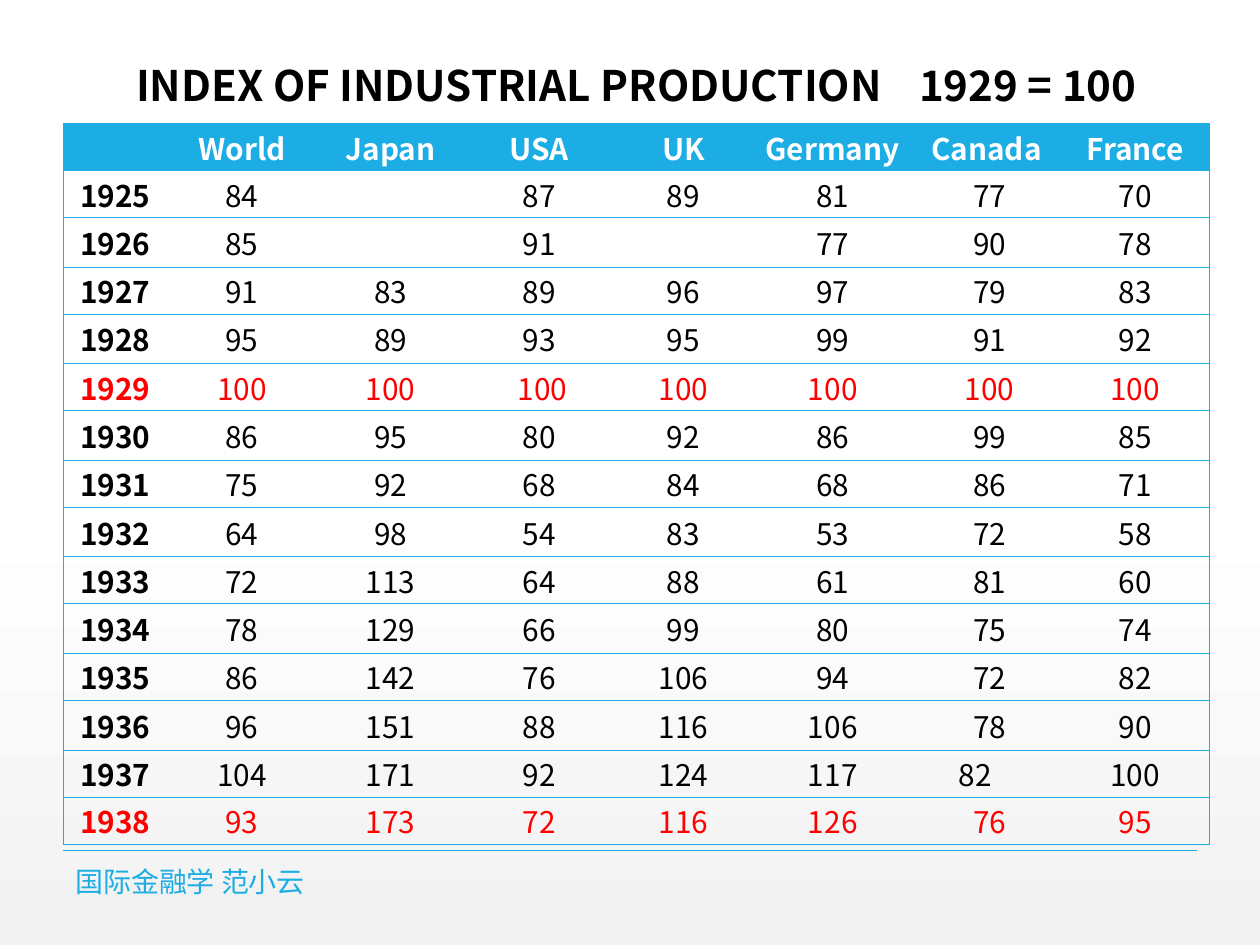
from lxml.etree import SubElement
from pptx import Presentation
from pptx.dml.color import RGBColor
from pptx.enum.shapes import MSO_CONNECTOR
from pptx.enum.text import MSO_ANCHOR, MSO_AUTO_SIZE, PP_ALIGN
from pptx.oxml import parse_xml
from pptx.oxml.ns import nsdecls, qn
from pptx.util import Inches, Pt

COLORS = {"accent": "1CADE4", "text": "000000", "marked": "FF0000",
          "header": "FFFFFF", "paper": "FFFFFF", "shade": "F2F2F2"}
FONT = "Noto Sans CJK SC"
NO_GRID_STYLE = "{2D5ABB26-0587-4C30-8999-92F81FD0307C}"
COLUMN_WIDTHS = [0.83, 1.18, 1.18, 1.18, 1.11, 1.26, 1.18, 1.18]
COUNTRIES = ["", "World", "Japan", "USA", "UK", "Germany", "Canada", "France"]
CANADA = COUNTRIES.index("Canada")
PRODUCTION = [
    [1925, 84, "", 87, 89, 81, 77, 70],
    [1926, 85, "", 91, "", 77, 90, 78],
    [1927, 91, 83, 89, 96, 97, 79, 83],
    [1928, 95, 89, 93, 95, 99, 91, 92],
    [1929, 100, 100, 100, 100, 100, 100, 100],
    [1930, 86, 95, 80, 92, 86, 99, 85],
    [1931, 75, 92, 68, 84, 68, 86, 71],
    [1932, 64, 98, 54, 83, 53, 72, 58],
    [1933, 72, 113, 64, 88, 61, 81, 60],
    [1934, 78, 129, 66, 99, 80, 75, 74],
    [1935, 86, 142, 76, 106, 94, 72, 82],
    [1936, 96, 151, 88, 116, 106, 78, 90],
    [1937, 104, 171, 92, 124, 117, 82, 100],
    [1938, 93, 173, 72, 116, 126, 76, 95],
]
MARKED_YEARS = {1929, 1938}


def rgb(name):
    """Return the named colour."""
    return RGBColor.from_string(COLORS[name])


def write(paragraph, text, size=17, color="text", bold=False,
          align=PP_ALIGN.CENTER, tracking=0):
    """Append formatted text to a paragraph."""
    paragraph.alignment = align
    paragraph.font.size = Pt(size)
    if text == "":
        return
    run = paragraph.add_run()
    run.text = str(text)
    font = run.font
    font.name, font.size, font.bold = FONT, Pt(size), bold
    font.color.rgb = rgb(color)
    properties = run.font._element
    SubElement(properties, qn("a:ea"), typeface=FONT)
    if tracking:
        properties.set("spc", str(tracking * 100))


def set_borders(cell, sides):
    """Draw thin accent lines on the given sides of a cell."""
    properties = cell._tc.get_or_add_tcPr()
    for index, side in enumerate(sides):
        properties.insert(index, parse_xml(
            f'<a:ln{side} {nsdecls("a")} w="6350"><a:solidFill>'
            f'<a:srgbClr val="{COLORS["accent"]}"/></a:solidFill></a:ln{side}>'))


def set_background(slide):
    """Shade the lower half of the slide."""
    fill = slide.background.fill
    fill.gradient()
    fill.gradient_angle = 270
    for stop, position, color in zip(fill.gradient_stops, (0.53, 1), ("paper", "shade")):
        stop.position = position
        stop.color.rgb = rgb(color)


def add_title(slide, left, top, width, height):
    """Place the heading and its base year in the title placeholder."""
    title = slide.shapes.title
    title.left, title.top, title.width, title.height = left, top, width, height
    frame = title.text_frame
    frame.word_wrap = True
    frame.auto_size = MSO_AUTO_SIZE.NONE
    frame.vertical_anchor = MSO_ANCHOR.MIDDLE
    paragraph = frame.paragraphs[0]
    for text, tracking in (("INDEX OF INDUSTRIAL PRODUCTION", 0), (" ", 16), ("1929 = 100", 0)):
        write(paragraph, text, size=24, bold=True, tracking=tracking)


def cell_nudges(year, column):
    """Return the extra left and right margins of a cell."""
    if (year, column) == (1937, CANADA):
        return 0, 0.18
    if year and (column == CANADA or (year, COUNTRIES[column]) == (1929, "USA")):
        return 0.05, 0
    return 0, 0


def fill_cell(cell, value, year, column):
    """Write and format one table cell."""
    extra_left, extra_right = cell_nudges(year, column)
    cell.margin_left = Inches(0.07 + extra_left)
    cell.margin_right = Inches(0.07 + extra_right)
    cell.margin_top = cell.margin_bottom = 0
    cell.vertical_anchor = MSO_ANCHOR.MIDDLE
    if year:
        cell.fill.background()
        color = "marked" if year in MARKED_YEARS else "text"
    else:
        cell.fill.solid()
        cell.fill.fore_color.rgb = rgb("accent")
        color = "header"
    write(cell.text_frame.paragraphs[0], value, color=color, bold=not year or column == 0)
    left = ["L"] if column == 0 else []
    right = ["R"] if column == len(COUNTRIES) - 1 else []
    set_borders(cell, left + right + ["T", "B"])


def add_production_table(slide, left, top, width, height):
    """Place the production figures by year and country."""
    records = [COUNTRIES] + PRODUCTION
    table = slide.shapes.add_table(len(records), len(COUNTRIES), left, top, width, height).table
    table.horz_banding = False
    table._tbl.tblPr.find(qn("a:tableStyleId")).text = NO_GRID_STYLE
    for column, share in zip(table.columns, COLUMN_WIDTHS):
        column.width = int(width * share / sum(COLUMN_WIDTHS))
    last = len(records) - 1
    weights = [39 if 0 < index < last and index % 2 == 0 else 37 for index in range(len(records))]
    for row, weight, record in zip(table.rows, weights, records):
        row.height = int(height * weight / sum(weights))
        for column, value in enumerate(record):
            fill_cell(row.cells[column], value, record[0], column)


def add_footer(slide, left, top, width, height):
    """Place the rule and the course line below it."""
    rule = slide.shapes.add_connector(MSO_CONNECTOR.STRAIGHT, left, top, left + width, top)
    rule.line.color.rgb = rgb("accent")
    rule.line.width = Pt(1)
    SubElement(rule._element.spPr, qn("a:effectLst"))
    box = slide.shapes.add_textbox(left, top + height // 3, int(width * 0.56), height * 2 // 3)
    frame = box.text_frame
    frame.word_wrap = True
    frame.vertical_anchor = MSO_ANCHOR.MIDDLE
    write(frame.paragraphs[0], "国际金融学 范小云", size=16, color="accent", align=PP_ALIGN.LEFT)


def main():
    """Build and save the slide."""
    presentation = Presentation()
    presentation.slide_width, presentation.slide_height = Inches(10), Inches(7.5)
    slide = presentation.slides.add_slide(presentation.slide_layouts[5])
    left, width = Inches(0.5), Inches(9.1)
    set_background(slide)
    add_footer(slide, left, Inches(6.75), Inches(9), Inches(0.37))
    add_title(slide, left, Inches(0.42), width, Inches(0.5))
    add_production_table(slide, left, Inches(0.98), width, Inches(5.72))
    presentation.save("out.pptx")


if __name__ == "__main__":
    main()
